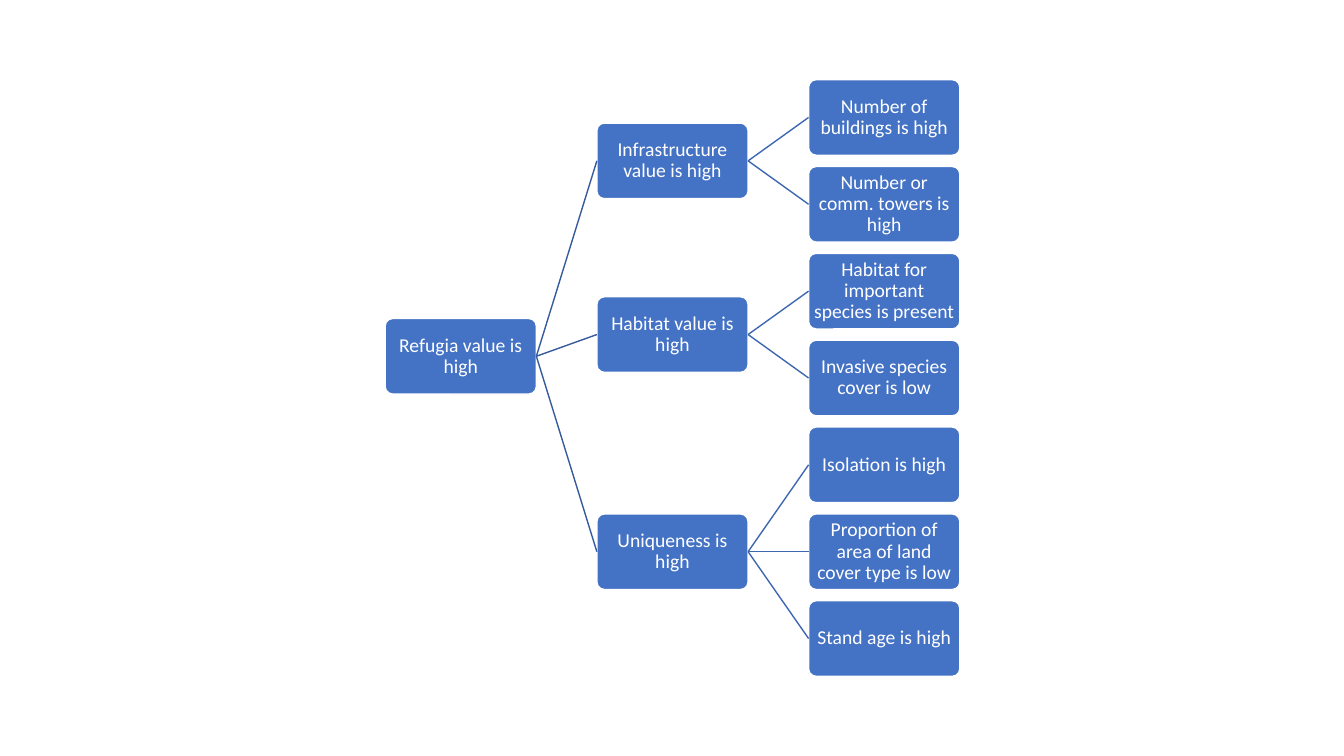
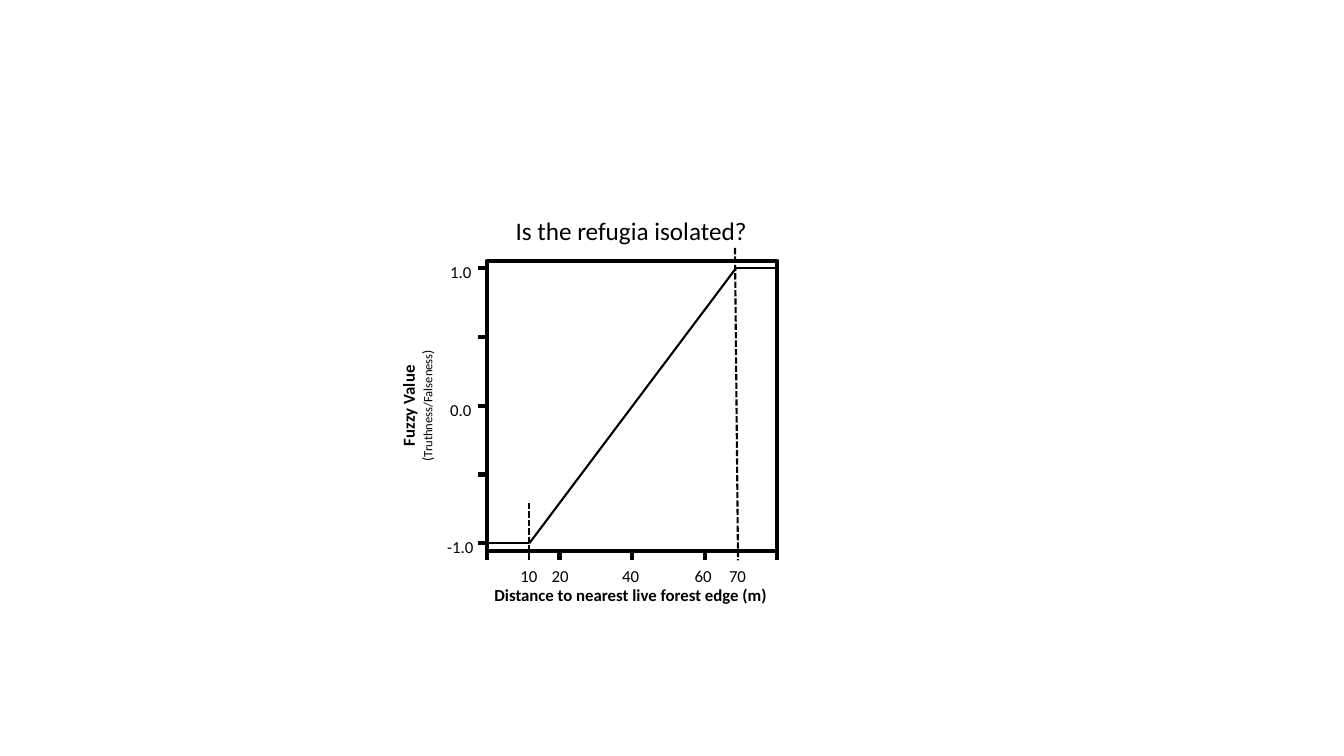
"""Build a refugia value tree and a fuzzy isolation curve."""
import pptx
import pptx.util
import pptx.dml.color
import pptx.enum.dml
import pptx.enum.shapes
import pptx.enum.text
import lxml.etree

Inches, Pt = pptx.util.Inches, pptx.util.Pt
SHAPE = pptx.enum.shapes.MSO_SHAPE
ALIGN = pptx.enum.text.PP_ALIGN
FONT = "Calibri"
HUES = {"box": "4472C4", "stem": "365B9D", "twig": "3E67B2",
        "white": "FFFFFF", "black": "000000"}
RGB = {name: pptx.dml.color.RGBColor.from_string(code) for name, code in HUES.items()}

deck = pptx.Presentation()
deck.slide_width, deck.slide_height = Inches(13.33), Inches(7.5)
tree, plot = [deck.slides.add_slide(deck.slide_layouts[6]) for _ in range(2)]


def draw(slide, start, end, hue, width):
    line = slide.shapes.add_connector(
        pptx.enum.shapes.MSO_CONNECTOR.STRAIGHT, *map(Inches, start + end))
    line.line.color.rgb = RGB[hue]
    line.line.width = Pt(width)
    props = line._element.spPr
    lxml.etree.SubElement(props, pptx.oxml.ns.qn("a:effectLst"))
    return line


def label(text, left, top, width, height=0.3, size=12, bold=False, align=ALIGN.CENTER):
    box = plot.shapes.add_textbox(*map(Inches, (left, top, width, height)))
    box.text_frame.word_wrap = False
    box.text_frame.auto_size = pptx.enum.text.MSO_AUTO_SIZE.SHAPE_TO_FIT_TEXT
    para = box.text_frame.paragraphs[0]
    para.text, para.alignment = text, align
    para.font.name, para.font.size, para.font.bold = FONT, Pt(size), bold
    para.font.color.rgb = RGB["black"]
    return box


WIDE, HIGH = 1.5, 0.75
COLS = [3.82, 5.92, 8.02]
TOP, STEP = 0.79, (5.96 - 0.79) / 6
groups = [
    ("Infrastructure value is high",
     ["Number of buildings is high", "Number or comm. towers is high"]),
    ("Habitat value is high",
     ["Habitat for important species is present", "Invasive species cover is low"]),
    ("Uniqueness is high",
     ["Isolation is high", "Proportion of area of land cover type is low",
      "Stand age is high"]),
]

root = "Refugia value is high"
nodes, links, row = [], [], 0
for name, leaves in groups:
    nodes.append((name, 1, row + (len(leaves) - 1) / 2))
    links.append((root, name, "stem"))
    for leaf in leaves:
        nodes.append((leaf, 2, row))
        links.append((name, leaf, "twig"))
        row += 1
mids = [rank for _, col, rank in nodes if col == 1]
nodes.insert(0, (root, 0, (mids[0] + mids[-1]) / 2))

boxes = {}
for name, col, rank in nodes:
    box = tree.shapes.add_shape(
        SHAPE.ROUNDED_RECTANGLE, Inches(COLS[col]), Inches(TOP + rank * STEP),
        Inches(WIDE), Inches(HIGH))
    box.adjustments[0] = 0.1
    box.shadow.inherit = False
    box.fill.solid()
    box.fill.fore_color.rgb = RGB["box"]
    box.line.color.rgb = RGB["white"]
    box.line.width = Pt(1)
    frame = box.text_frame
    frame.word_wrap = True
    frame.vertical_anchor = pptx.enum.text.MSO_ANCHOR.MIDDLE
    frame.margin_left = frame.margin_right = Inches(0.03)
    frame.margin_top = frame.margin_bottom = Inches(0.03)
    para = frame.paragraphs[0]
    para.text, para.alignment, para.line_spacing = name, ALIGN.CENTER, 0.9
    para.font.name, para.font.size = FONT, Pt(14)
    para.font.color.rgb = RGB["white"]
    boxes[name] = box

for head, tail, hue in links:
    line = draw(tree, (0, 0), (1, 1), hue, 1)
    line.begin_connect(boxes[head], 3)
    line.end_connect(boxes[tail], 1)

LEFT, ROOF, SIDE = 4.83, 2.59, 2.88
RIGHT, HIGHEST, LOWEST = LEFT + SIDE, 2.66, 5.39
FOOT = 5.56
frame = plot.shapes.add_shape(SHAPE.RECTANGLE, *map(Inches, (LEFT, ROOF, SIDE, SIDE)))
frame.shadow.inherit = False
frame.fill.background()
frame.line.color.rgb = RGB["black"]
frame.line.width = Pt(3)

for tick in range(5):
    y = HIGHEST + tick * (LOWEST - HIGHEST) / 4
    x = LEFT + tick * SIDE / 4
    draw(plot, (LEFT - 0.09, y), (LEFT, y), "black", 3)
    draw(plot, (x, FOOT), (x, FOOT - 0.1), "black", 3)

curve = [(LEFT, LOWEST), (5.25, LOWEST), (7.3, HIGHEST), (RIGHT, HIGHEST)]
for start, end in zip(curve, curve[1:]):
    draw(plot, start, end, "black", 1.5)
for start, end in [((5.25, 4.99), (5.25, FOOT)), ((7.29, 2.46), (7.32, FOOT))]:
    dash = draw(plot, start, end, "black", 1.5)
    dash.line.dash_style = pptx.enum.dml.MSO_LINE.SQUARE_DOT

for text, left, top, width in [("1.0", 4.36, 2.55, 0.42), ("0.0", 4.36, 3.92, 0.42),
                               ("-1.0", 4.33, 5.28, 0.47)]:
    label(text, left, top, width)
for text, left in [("10", 5.06), ("20", 5.37), ("40", 6.07), ("60", 6.79), ("70", 7.13)]:
    label(text, left, FOOT, 0.37)
label("Distance to nearest live forest edge (m)", 4.79, 5.75, 2.93, bold=True)
label("Is the refugia isolated?", 5, 2.09, 2.52, 0.4, size=18)

axis = label("Fuzzy Value", 3.47, 3.79, 1.33, 0.47, bold=True)
axis.rotation = 270
para = axis.text_frame.add_paragraph()
para.alignment = ALIGN.CENTER
para.font.name = FONT
para.font.color.rgb = RGB["black"]
for text, size in [("(", 10), ("Truthness/Falseness", 9), (")", 10)]:
    run = para.add_run()
    run.text, run.font.size = text, Pt(size)

deck.save("out.pptx")
